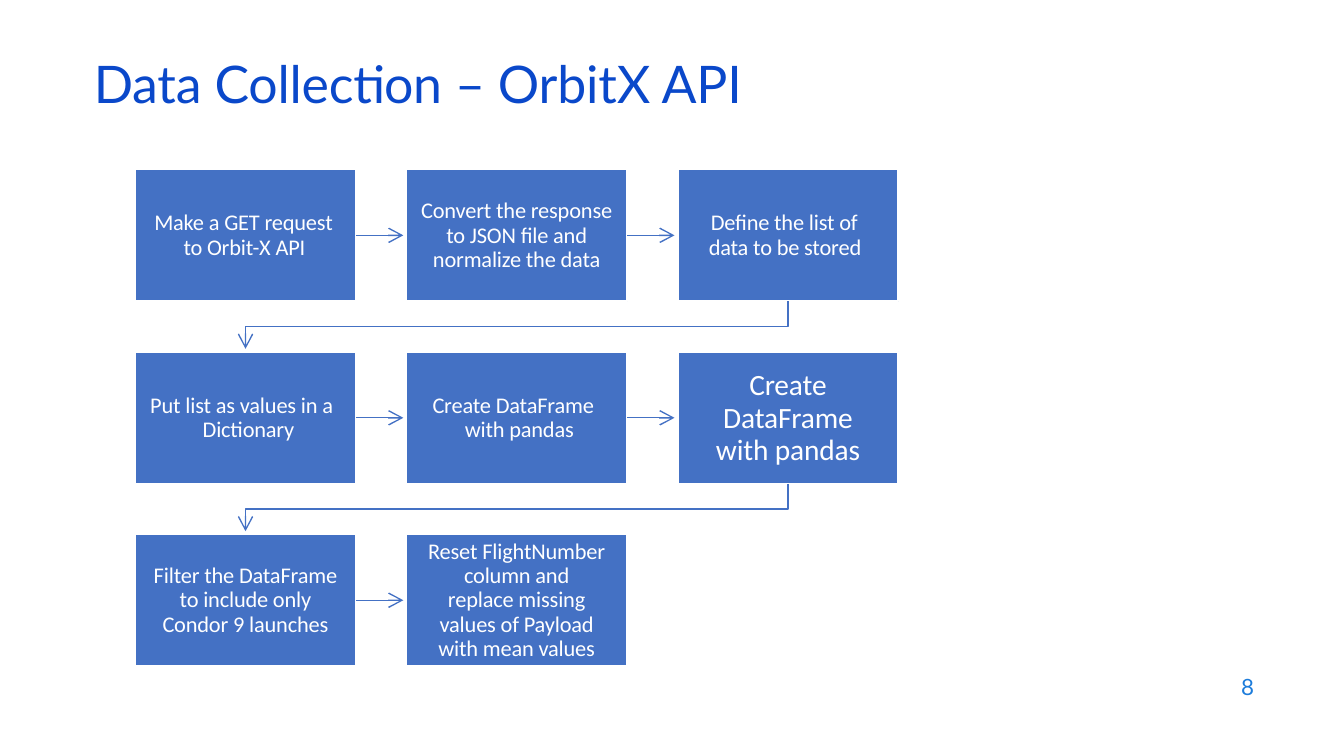
from lxml import etree
from pptx import Presentation
from pptx import util as u
from pptx.dml.color import RGBColor
from pptx.enum import shapes, text
from pptx.oxml.ns import qn

COLORS = {"title": "0A48CA", "box": "4471C4", "white": "FFFFFF", "number": "1C7CDB"}
TITLE = "Data Collection – OrbitX API"
NUMBER = "8"
STEPS = [
    {"lines": ["Make a GET request", "to Orbit-X API"], "starts": (0.19, 0.48)},
    {"lines": ["Convert the response", "to JSON file and", "normalize the data"]},
    {"lines": ["Define the list of", "data to be stored"], "starts": (0.33, 0.31)},
    {"lines": ["Put list as values in a", "Dictionary"], "starts": (0.15, 0.67)},
    {"lines": ["Create DataFrame", "with pandas"], "starts": (0.26, 0.58)},
    {"lines": ["Create", "DataFrame", "with pandas"], "size": 21},
    {"lines": ["Filter the DataFrame", "to include only", "Condor 9 launches"]},
    {"lines": ["Reset FlightNumber", "column and", "replace missing", "values of Payload",
               "with mean values"]},
]
COLS = 3
LEFT, TOP, WIDTH, HEIGHT = 1.34, 1.68, 2.19, 1.31
STEP_X, STEP_Y = 2.69, 1.81
ARROW_LENGTH = 0.47


def rgb(name):
    return RGBColor.from_string(COLORS[name])


def write(shape, content, font, size, color, align, anchor, spacing=None):
    tf = shape.text_frame
    frame = {"margin_left": 0, "margin_right": 0, "margin_top": 0, "margin_bottom": 0,
             "word_wrap": True, "auto_size": text.MSO_AUTO_SIZE.NONE,
             "vertical_anchor": anchor}
    for key, value in frame.items():
        setattr(tf, key, value)
    p = tf.paragraphs[0]
    p.text = content
    p.alignment = align
    if spacing:
        p.line_spacing = u.Pt(spacing)
    for r in p.runs:
        for key, value in {"name": font, "size": u.Pt(size), "bold": False}.items():
            setattr(r.font, key, value)
        r.font.color.rgb = rgb(color)
        r._r.get_or_add_rPr().set("spc", "-10")
    return p


def add_arrowhead(line):
    line.line.color.rgb = rgb("box")
    line.line.width = u.Pt(1)
    ln = line._element.spPr.find(qn("a:ln"))
    etree.SubElement(ln, qn("a:tailEnd"), type="arrow", w="lg", len="lg")


def add_step(s, index, step):
    row, col = divmod(index, COLS)
    sp = s.shapes.add_shape(shapes.MSO_SHAPE.RECTANGLE, u.Inches(LEFT + col * STEP_X),
                            u.Inches(TOP + row * STEP_Y), u.Inches(WIDTH), u.Inches(HEIGHT))
    sp.shadow.inherit = False
    sp.fill.solid()
    sp.fill.fore_color.rgb = rgb("box")
    sp.line.color.rgb = rgb("white")
    sp.line.width = u.Pt(1.56)
    size = step.get("size", 16)
    starts = step.get("starts")
    align = text.PP_ALIGN.LEFT if starts else text.PP_ALIGN.CENTER
    p = write(sp, "\v".join(step["lines"]), "Calibri", size, "white", align,
              text.MSO_ANCHOR.MIDDLE, round(size * 1.09, 1))
    if starts:
        first, rest = starts
        pPr = p._p.get_or_add_pPr()
        pPr.set("marL", str(u.Inches(rest)))
        pPr.set("indent", str(u.Inches(first - rest)))
    return sp


def add_straight_arrow(s, box):
    x, y = box.left + box.width, box.top + box.height // 2
    cx = s.shapes.add_connector(shapes.MSO_CONNECTOR.STRAIGHT, x, y,
                                x + u.Inches(ARROW_LENGTH), y)
    cx.begin_connect(box, 3)
    add_arrowhead(cx)
    etree.SubElement(cx._element.spPr, qn("a:effectLst"))


def add_return_arrow(s, last, first):
    x1, y1 = last.left + last.width // 2, last.top + last.height
    x2, y2 = first.left + first.width // 2, y1 + u.Inches(ARROW_LENGTH)
    middle = (y1 + first.top) // 2
    fb = s.shapes.build_freeform(x1, y1)
    fb.add_line_segments([(x1, middle), (x2, middle), (x2, y2)], close=False)
    sp = fb.convert_to_shape()
    sp.shadow.inherit = False
    sp.fill.background()
    add_arrowhead(sp)


def main():
    prs = Presentation()
    prs.slide_width, prs.slide_height = u.Inches(13.33), u.Inches(7.5)
    s = prs.slides.add_slide(prs.slide_layouts[5])

    title = s.shapes.title
    place = {"left": 0.93, "top": 0.5, "width": 6.71, "height": 0.64}
    for key, value in place.items():
        setattr(title, key, u.Inches(value))
    write(title, TITLE, "Lato", 37, "title", text.PP_ALIGN.LEFT, text.MSO_ANCHOR.MIDDLE)

    boxes = [add_step(s, i, step) for i, step in enumerate(STEPS)]
    for i, (box, following) in enumerate(zip(boxes, boxes[1:])):
        if (i + 1) % COLS:
            add_straight_arrow(s, box)
        else:
            add_return_arrow(s, box, following)

    number = s.shapes.add_textbox(u.Inches(12.27), u.Inches(6.68), u.Inches(0.21), u.Inches(0.28))
    write(number, NUMBER, "Lato", 16, "number", text.PP_ALIGN.CENTER,
          text.MSO_ANCHOR.TOP, 18.9)
    prs.save("out.pptx")


if __name__ == "__main__":
    main()
